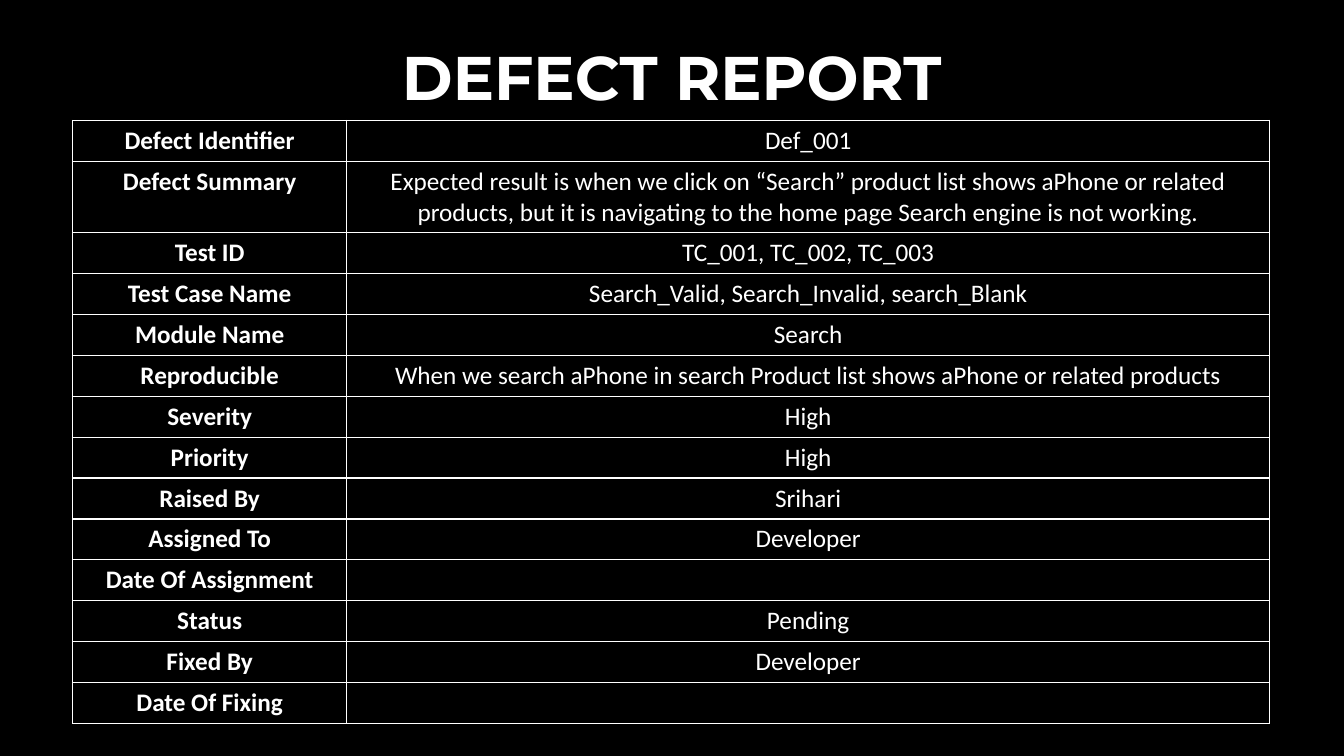
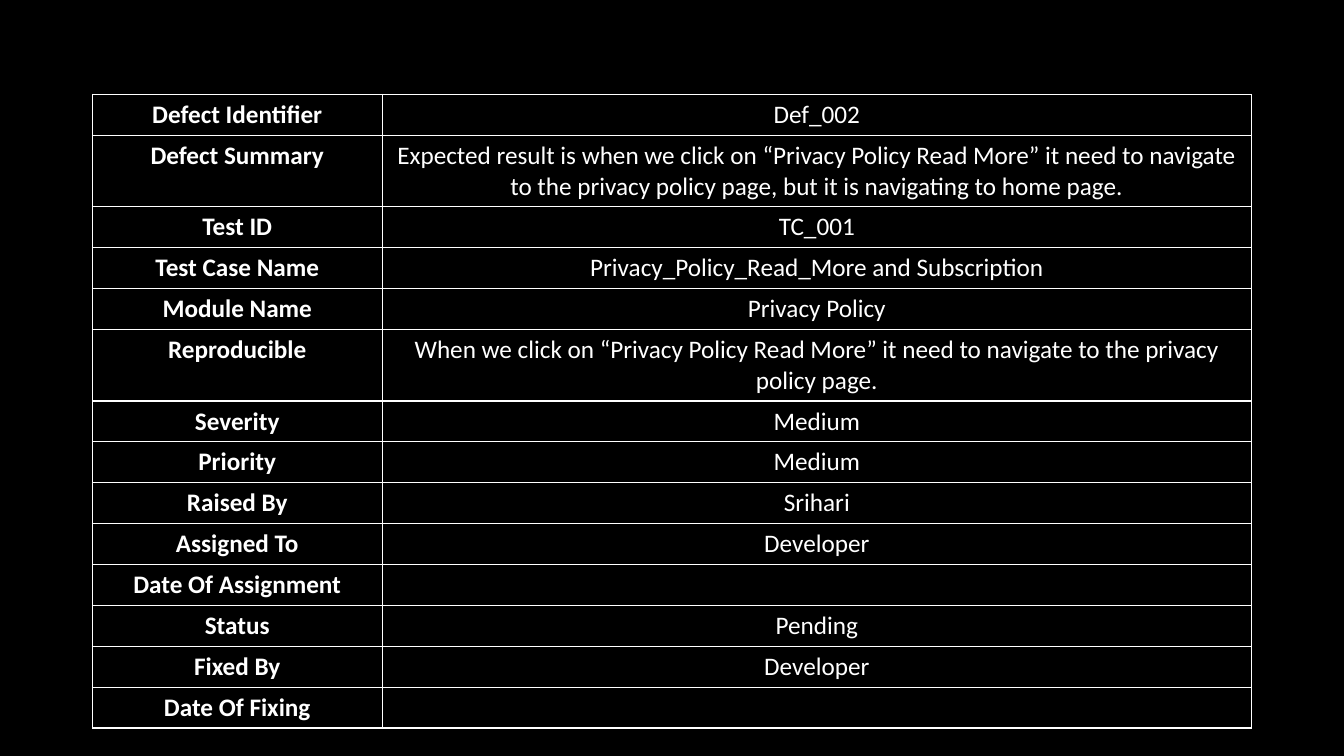
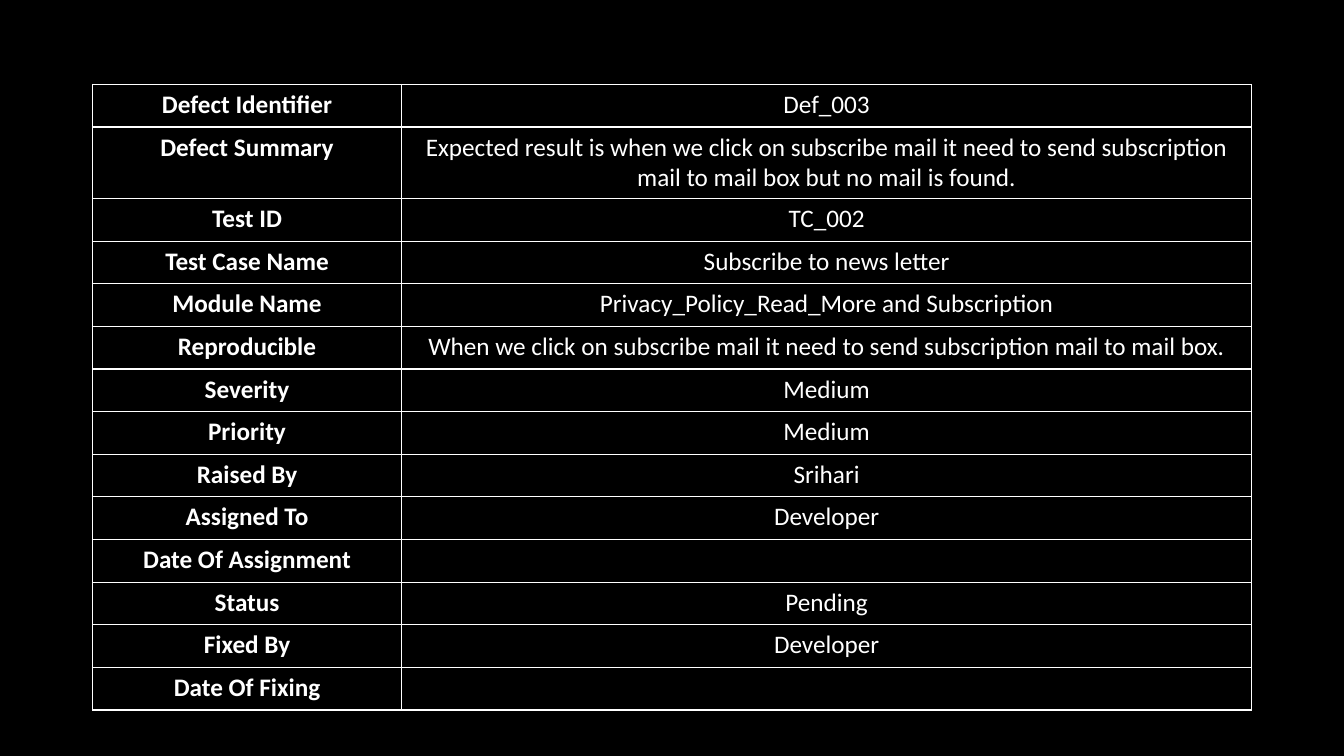
from lxml.etree import SubElement
from pptx import Presentation
from pptx.dml.color import RGBColor as RGB
from pptx.enum.text import MSO_ANCHOR as ANCHOR, PP_ALIGN as ALIGN
from pptx.oxml.ns import qn
from pptx.util import Pt

COLORS = {"back": "000000", "ink": "FFFFFF"}
TITLE_FONT, BODY_FONT = "Montserrat", "Calibri"
TITLE_BOX = (66, 28.8, 828, 56.9)
TWO_LINES = 51.1
WRAP_AT = 80
LABELS = ["Defect Identifier", "Defect Summary", "Test ID", "Test Case Name",
          "Module Name", "Reproducible", "Severity", "Priority", "Raised By",
          "Assigned To", "Date Of Assignment", "Status", "Fixed By", "Date Of Fixing"]
PEOPLE_AND_STATUS = ["Srihari", "Developer", "", "Pending", "Developer", ""]
REPORTS = [
    dict(title="DEFECT REPORT", origin=(51.8, 86), cols=(196, 659), row=29.2, values=[
        "Def_001",
        "Expected result is when we click on “Search” product list shows aPhone or related "
        "products, but it is navigating to the home page Search engine is not working.",
        "TC_001, TC_002, TC_003",
        "Search_Valid, Search_Invalid, search_Blank",
        "Search",
        "When we search aPhone in search Product list shows aPhone or related products",
        "High", "High"]),
    dict(title="", origin=(66, 67.5), cols=(207, 621), row=29.2, values=[
        "Def_002",
        "Expected result is when we click on “Privacy Policy Read More” it need to navigate "
        "to the privacy policy page, but it is navigating to home page.",
        "TC_001",
        "Privacy_Policy_Read_More and Subscription",
        "Privacy Policy",
        "When we click on “Privacy Policy Read More” it need to navigate to the privacy "
        "policy page.",
        "Medium", "Medium"]),
    dict(title="", origin=(66, 60.3), cols=(221, 607), row=30.46, values=[
        "Def_003",
        "Expected result is when we click on subscribe mail it need to send subscription "
        "mail to mail box but no mail is found.",
        "TC_002",
        "Subscribe to news letter",
        "Privacy_Policy_Read_More and Subscription",
        "When we click on subscribe mail it need to send subscription mail to mail box.",
        "Medium", "Medium"]),
]


def write(tf, text, font, size, bold):
    """Put one centred paragraph into a text frame."""
    p = tf.paragraphs[0]
    p.text = text
    p.alignment = ALIGN.CENTER
    for r in p.runs:
        r.font.name, r.font.size, r.font.bold = font, Pt(size), bold
        r.font.color.rgb = RGB.from_string(COLORS["ink"])
    return p


def add_title(s, text, box):
    """Place the slide title in a box."""
    tf = s.shapes.add_textbox(*map(Pt, box)).text_frame
    tf.word_wrap = True
    tf.vertical_anchor = ANCHOR.MIDDLE
    write(tf, text, TITLE_FONT, 44, True).line_spacing = 0.9


def style_cell(cell):
    """Give a cell thin borders and the background colour."""
    tc_pr = cell._tc.get_or_add_tcPr()
    for side in ("lnL", "lnR", "lnT", "lnB"):
        line = SubElement(tc_pr, qn("a:" + side), w=str(Pt(1)))
        fill = SubElement(line, qn("a:solidFill"))
        SubElement(fill, qn("a:srgbClr"), val=COLORS["ink"])
    cell.fill.solid()
    cell.fill.fore_color.rgb = RGB.from_string(COLORS["back"])


def add_report(s, origin, cols, row, values):
    """Place a table of labels and values at its origin."""
    heights = [TWO_LINES if len(v) > WRAP_AT else row for v in values]
    box = (*origin, sum(cols), sum(heights))
    table = s.shapes.add_table(len(values), len(cols), *map(Pt, box)).table
    table.first_row = table.horz_banding = False
    for col, width in zip(table.columns, cols):
        col.width = Pt(width)
    for i, (label, value) in enumerate(zip(LABELS, values)):
        table.rows[i].height = Pt(heights[i])
        for j, text in enumerate((label, value)):
            cell = table.cell(i, j)
            style_cell(cell)
            write(cell.text_frame, text, BODY_FONT, 18, j == 0)


def main():
    """Build the defect report slides."""
    prs = Presentation()
    prs.slide_width, prs.slide_height = Pt(960), Pt(540)
    back = prs.slide_master.background.fill
    back.solid()
    back.fore_color.rgb = RGB.from_string(COLORS["back"])
    for report in REPORTS:
        s = prs.slides.add_slide(prs.slide_layouts[6])
        if report["title"]:
            add_title(s, report["title"], TITLE_BOX)
        add_report(s, report["origin"], report["cols"], report["row"],
                   report["values"] + PEOPLE_AND_STATUS)
    prs.save("out.pptx")


if __name__ == "__main__":
    main()
